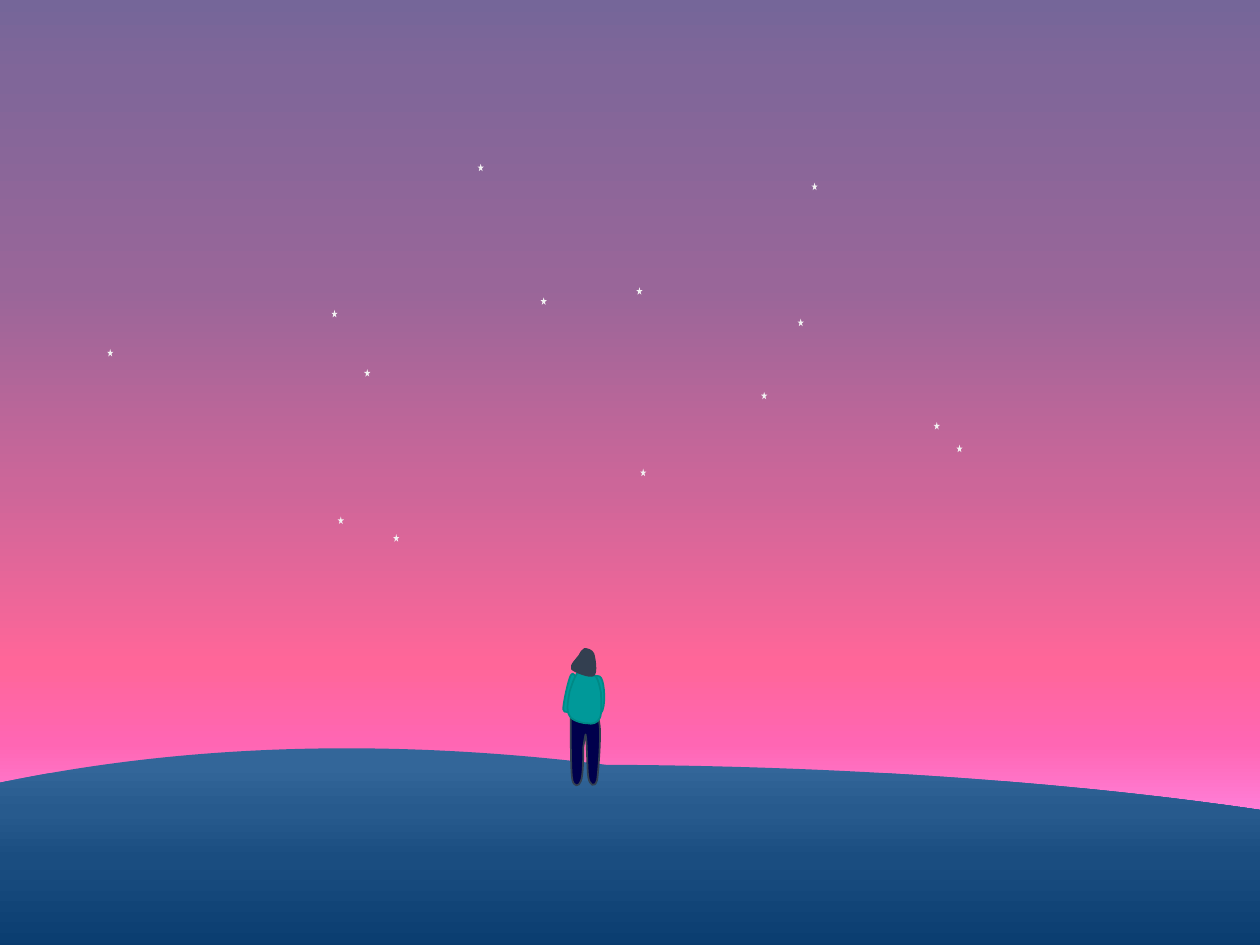
"""Build a dusk scene: a figure on a hill under a starry gradient sky."""
from lxml import etree
from pptx import Presentation
from pptx import util as u
from pptx.dml.color import RGBColor
from pptx.enum import shapes as kinds
from pptx.oxml.ns import qn

PAGE_WIDTH, PAGE_HEIGHT = u.Inches(10), u.Inches(7.5)
GRID = u.Inches(0.01)

NAVY = RGBColor(0x00, 0x00, 0x4C)
TEAL = RGBColor(0x00, 0x99, 0x99)
DARK_TEAL = RGBColor(0x00, 0x89, 0x86)
SLATE = RGBColor(0x33, 0x3F, 0x50)
SKY_EDGE = RGBColor(0x1E, 0x32, 0x56)
STAR_WHITE = RGBColor(0xF2, 0xF2, 0xF2)
SKY_STOPS = [
    (0, RGBColor(0x66, 0x66, 0x99)), (17, RGBColor(0x80, 0x66, 0x99)),
    (38, RGBColor(0x99, 0x66, 0x99)), (58, RGBColor(0xCC, 0x66, 0x99)),
    (76, RGBColor(0xFF, 0x66, 0x99)), (84, RGBColor(0xFF, 0x66, 0xB3)),
    (98, RGBColor(0xFF, 0x99, 0xFF)),
]
HILL_STOPS = [
    (0, RGBColor(0x33, 0x66, 0x99)), (10, RGBColor(0x27, 0x5A, 0x8D)),
    (20, RGBColor(0x1A, 0x4D, 0x80)), (49, RGBColor(0x00, 0x33, 0x66)),
]

SKY_BOX = (-316, -73, 1594, 789)
HILL_ORIGIN = (-414, 607)
FIGURE_ORIGIN = (447, 515)
STAR_SIZE = (5, 6)
STARS = [
    (633, 253), (429, 236), (289, 293), (85, 277), (505, 228), (604, 311), (741, 335),
    (312, 424), (759, 353), (644, 145), (379, 130), (508, 372), (263, 246), (268, 410),
]

HILL = [
    (0, 187), (42, 183), (304, -73), (895, 0), (1372, 2), (1797, 82), (1790, 187),
    (1905, 256), (1445, 324), (895, 374), (382, 376), (-7, 315), (0, 187),
]
TROUSERS = [
    (6, 55), (6, 65), (6, 94), (7, 102), (8, 111), (13, 109), (14, 105),
    (16, 101), (16, 84), (16, 78), (17, 72), (18, 65), (18, 69),
    (19, 73), (19, 97), (20, 102), (21, 108), (25, 111), (27, 104),
    (28, 97), (30, 70), (29, 61), (28, 52), (26, 51), (23, 49),
    (19, 46), (9, 44), (7, 47), (4, 49), (6, 46), (6, 55),
]
SLEEVES = [
    (13, 24), (9, 24), (9, 17), (6, 21), (4, 25), (0, 43), (0, 48),
    (1, 52), (4, 49), (9, 50), (14, 50), (27, 56), (30, 51),
    (34, 47), (33, 27), (30, 23), (28, 19), (17, 24), (13, 24),
]
JACKET = [
    (5, 34), (4, 40), (2, 49), (5, 53), (7, 57), (15, 59), (19, 59),
    (23, 60), (27, 59), (29, 55), (31, 51), (30, 41), (30, 35),
    (29, 30), (28, 25), (26, 22), (23, 19), (17, 16), (14, 17),
    (10, 18), (7, 28), (5, 34),
]
HAIR = [
    (24, 21), (27, 19), (25, 7), (24, 4), (23, 1), (19, 0), (17, 0),
    (15, 1), (14, 3), (13, 5), (12, 7), (5, 13), (7, 16), (9, 18), (21, 23), (24, 21),
]


def paint(shape, fill=None, stops=None, line=None):
    """Give a shape a solid or downward gradient fill and an optional outline."""
    shape.shadow.inherit = False
    if stops:
        shape.fill.gradient()
        shape.fill.gradient_angle = 270
        stop_list = shape.element.spPr.find(".//" + qn("a:gsLst"))
        for old_stop in list(stop_list):
            stop_list.remove(old_stop)
        for percent, color in stops:
            stop = etree.SubElement(stop_list, qn("a:gs"), pos=str(percent * 1000))
            etree.SubElement(stop, qn("a:srgbClr"), val=str(color))
    else:
        shape.fill.solid()
        shape.fill.fore_color.rgb = fill
    if line is None:
        shape.line.fill.background()
    else:
        shape.line.color.rgb = line
        shape.line.width = u.Pt(1)


def bend(shape, knots):
    """Turn the straight segments of a freeform into cubic curves."""
    left, top = (min(values) for values in zip(*knots[::3]))
    for index, segment in enumerate(list(shape.element.iter(qn("a:lnTo")))):
        curve = etree.Element(qn("a:cubicBezTo"))
        for x, y in knots[3 * index + 1:3 * index + 4]:
            etree.SubElement(curve, qn("a:pt"), x=str(x - left), y=str(y - top))
        segment.getparent().replace(segment, curve)


def add_outline(parent, origin, knots, **look):
    """Draw a closed curved outline on the grid that starts at origin."""
    corners = knots[::3]
    builder = parent.build_freeform(*corners[0], scale=float(GRID))
    builder.add_line_segments(corners[1:], close=True)
    shape = builder.convert_to_shape(*(base * GRID for base in origin))
    bend(shape, knots)
    paint(shape, **look)


def add_preset(page, kind, box, **look):
    """Draw a preset shape in a box measured on the grid."""
    shape = page.shapes.add_shape(kind, *(length * GRID for length in box))
    paint(shape, **look)
    return shape


def add_sky(page, box):
    """Fill the box with the dusk sky."""
    sky = add_preset(page, kinds.MSO_SHAPE.ROUNDED_RECTANGLE, box,
                     stops=SKY_STOPS, line=SKY_EDGE)
    sky.adjustments[0] = 0.14


def add_figure(page, origin):
    """Draw the standing figure from trousers up to hair."""
    add_outline(page.shapes, origin, TROUSERS, fill=NAVY, line=SLATE)
    top = page.shapes.add_group_shape()
    add_outline(top.shapes, origin, SLEEVES, fill=TEAL, line=DARK_TEAL)
    add_outline(top.shapes, origin, JACKET, fill=TEAL, line=DARK_TEAL)
    add_outline(page.shapes, origin, HAIR, fill=SLATE, line=SLATE)


def add_stars(page, corners):
    """Scatter equal stars at the given corners."""
    for corner in corners:
        add_preset(page, kinds.MSO_SHAPE.STAR_5_POINT, corner + STAR_SIZE, fill=STAR_WHITE)


def main():
    """Assemble and save the scene."""
    deck = Presentation()
    deck.slide_width, deck.slide_height = PAGE_WIDTH, PAGE_HEIGHT
    page = deck.slides.add_slide(deck.slide_layouts[6])
    add_sky(page, SKY_BOX)
    add_outline(page.shapes, HILL_ORIGIN, HILL, stops=HILL_STOPS)
    add_figure(page, FIGURE_ORIGIN)
    add_stars(page, STARS)
    deck.save("out.pptx")


if __name__ == "__main__":
    main()
